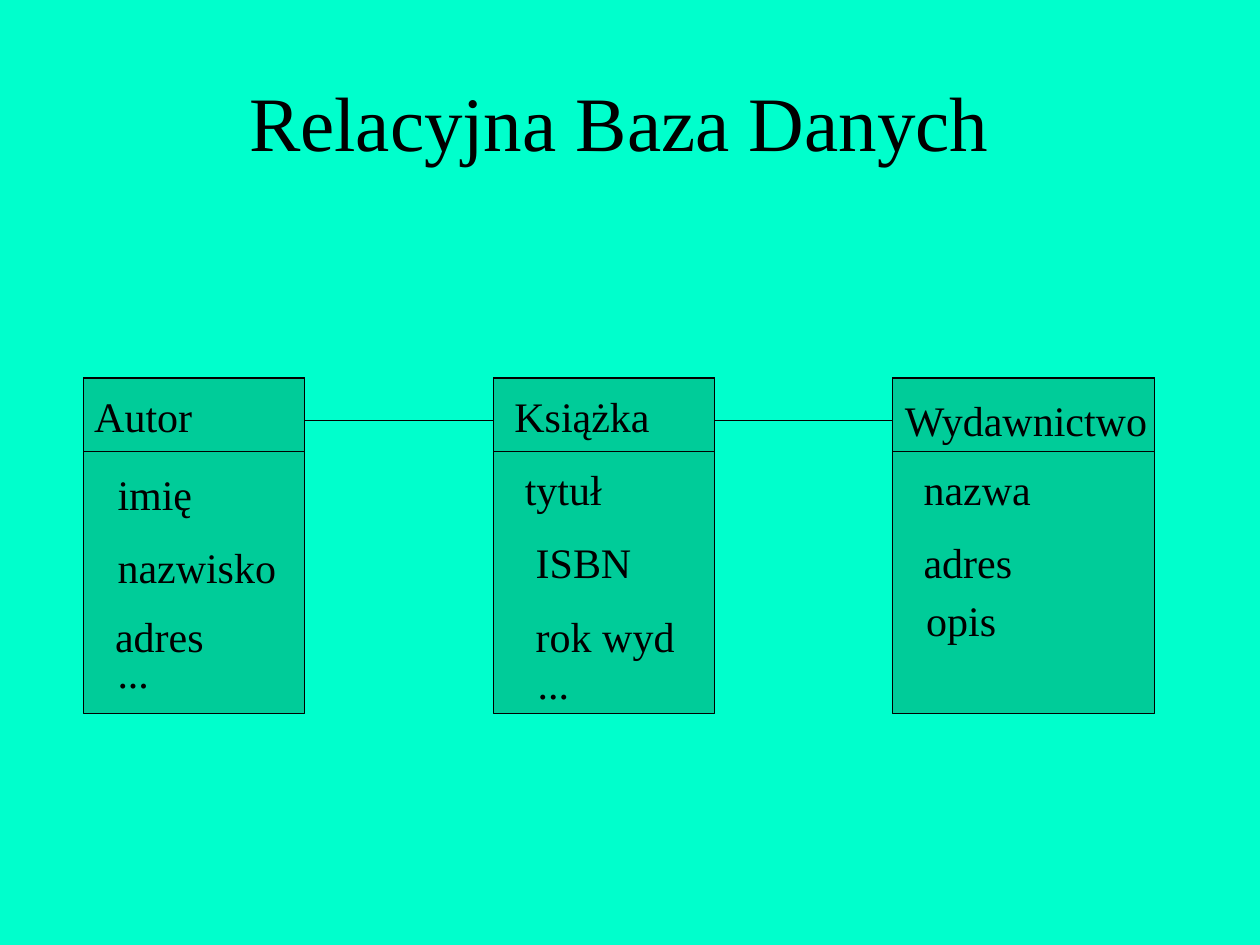
from itertools import pairwise

from lxml.etree import SubElement
from pptx import Presentation
from pptx.dml.color import RGBColor
from pptx.enum.shapes import MSO_CONNECTOR, MSO_SHAPE
from pptx.enum.text import MSO_ANCHOR, MSO_AUTO_SIZE, PP_ALIGN
from pptx.oxml.ns import qn
from pptx.util import Cm, Pt

COLORS = {"background": "00FFCC", "entity": "00CC99", "ink": "000000"}
FONT = "Times New Roman"
ENTITY_TOP, ENTITY_HEIGHT, HEADER_HEIGHT = 7.62, 6.77, 1.48
RELATION_Y = 8.47
LABEL_HEIGHT = 1.27

# Each entity: left, width, labels as (text, left, top, width), in cm
ENTITIES = [
    (1.69, 4.45, [
        ("Autor", 1.65, 7.75, 2.52),
        ("imię", 2.12, 9.32, 2.05),
        ("nazwisko", 2.12, 10.8, 3.75),
        ("adres", 2.07, 12.19, 2.33),
        ("...", 2.12, 12.9, 1.18),
    ]),
    (9.95, 4.45, [
        ("Książka", 10.12, 7.75, 3.27),
        ("tytuł", 10.33, 9.22, 2.1),
        ("ISBN", 10.55, 10.7, 2.48),
        ("rok wyd", 10.55, 12.19, 3.35),
        ("...", 10.59, 13.13, 1.18),
    ]),
    (17.99, 5.29, [
        ("Wydawnictwo", 17.99, 7.82, 5.44),
        ("nazwa", 18.37, 9.22, 2.72),
        ("adres", 18.37, 10.7, 2.33),
        ("opis", 18.42, 11.86, 2.0),
    ]),
]


def color(name):
    return RGBColor.from_string(COLORS[name])


def write(frame, text, size):
    frame.text = text
    font = frame.paragraphs[0].runs[0].font
    for attribute, value in {"name": FONT, "size": Pt(size)}.items():
        setattr(font, attribute, value)
    font.color.rgb = color("ink")


prs = Presentation()
prs.slide_width, prs.slide_height = Cm(25.4), Cm(19.05)
slide = prs.slides.add_slide(prs.slide_layouts[5])
slide.background.fill.solid()
slide.background.fill.fore_color.rgb = color("background")

# Title
title = slide.shapes.title
title_place = {"left": 1.69, "top": 0.85, "width": 21.59, "height": 3.18}
for attribute, value in title_place.items():
    setattr(title, attribute, Cm(value))
write(title.text_frame, "Relacyjna Baza Danych", 44)
title.text_frame.vertical_anchor = MSO_ANCHOR.MIDDLE
title.text_frame.paragraphs[0].alignment = PP_ALIGN.CENTER

# Entities: body and header rectangles, then their labels
for left, width, labels in ENTITIES:
    entity = slide.shapes.add_group_shape()
    for height in (ENTITY_HEIGHT, HEADER_HEIGHT):
        part = entity.shapes.add_shape(
            MSO_SHAPE.RECTANGLE, Cm(left), Cm(ENTITY_TOP), Cm(width), Cm(height))
        part.shadow.inherit = False
        part.fill.solid()
        part.fill.fore_color.rgb = color("entity")
        part.line.color.rgb = color("ink")
        part.line.width = Pt(0.75)
    for text, label_left, top, label_width in labels:
        label = slide.shapes.add_textbox(
            Cm(label_left), Cm(top), Cm(label_width), Cm(LABEL_HEIGHT))
        write(label.text_frame, text, 24)
        label.text_frame.word_wrap = True
        label.text_frame.auto_size = MSO_AUTO_SIZE.SHAPE_TO_FIT_TEXT

# Relations between neighbouring entities, slightly below the header middle
for (left, width, _), (next_left, _, _) in pairwise(ENTITIES):
    relation = slide.shapes.add_connector(
        MSO_CONNECTOR.STRAIGHT,
        Cm(left + width), Cm(RELATION_Y), Cm(next_left), Cm(RELATION_Y))
    relation.line.color.rgb = color("ink")
    relation.line.width = Pt(0.75)
    SubElement(relation.element.spPr, qn("a:effectLst"))

prs.save("out.pptx")
